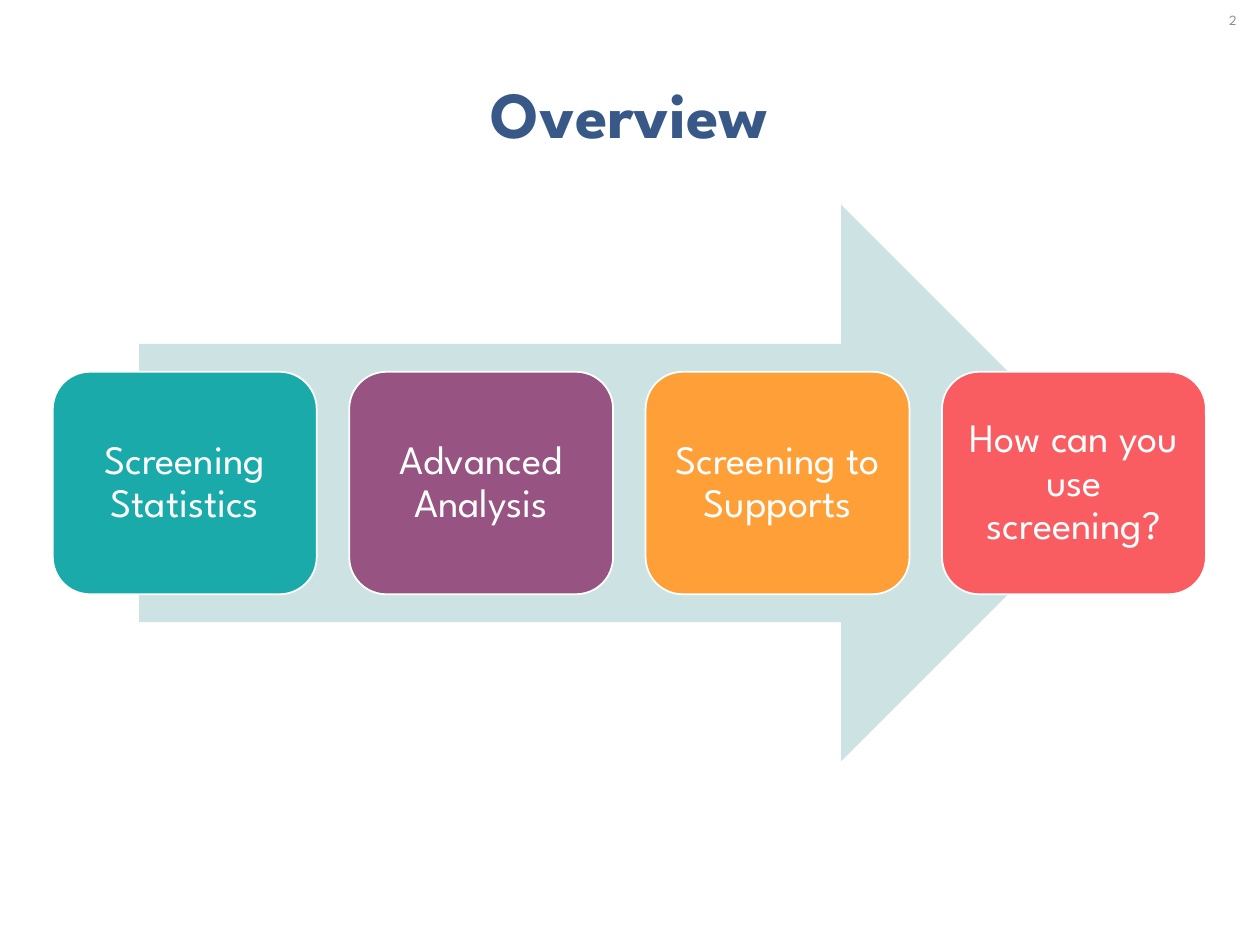
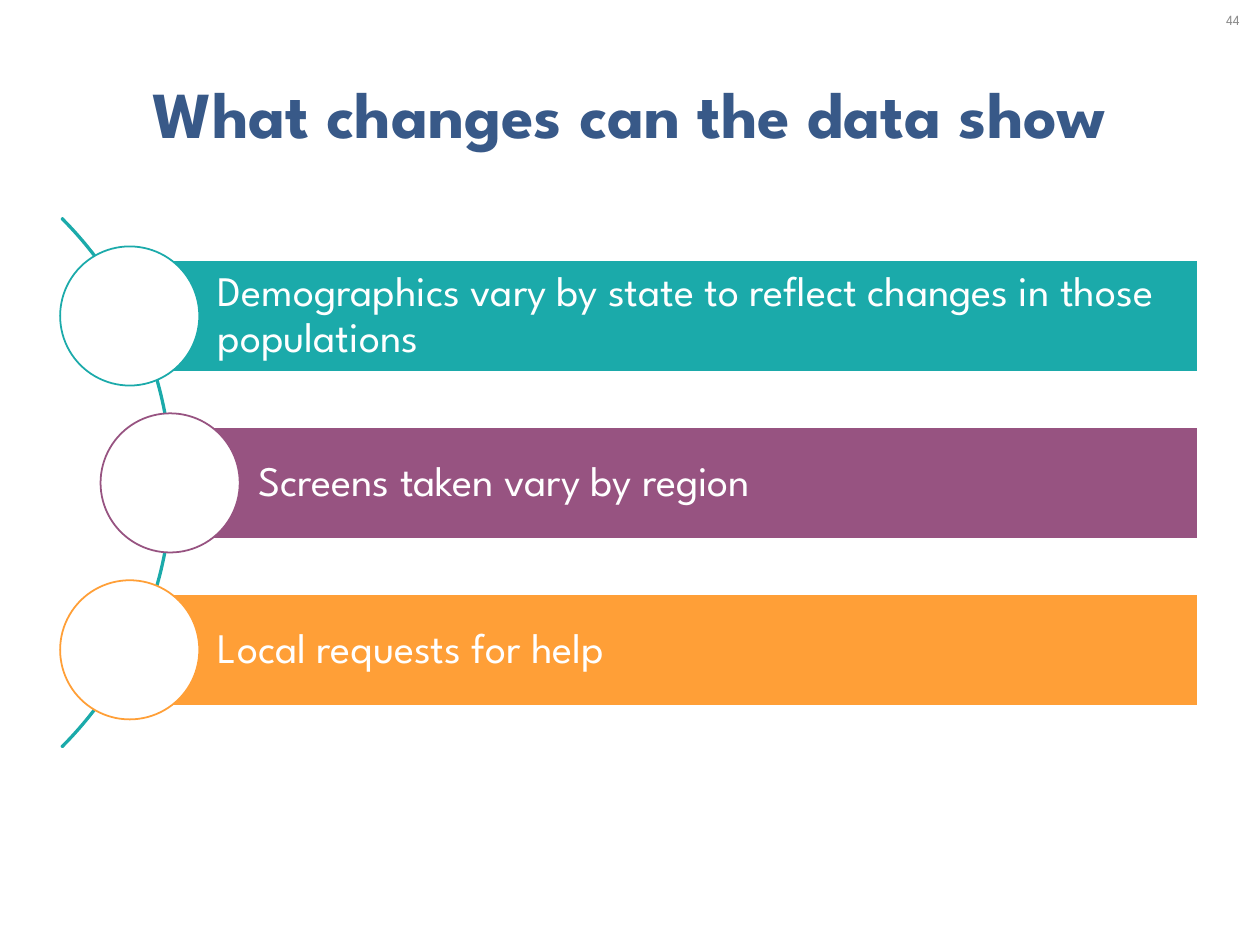
from dataclasses import dataclass

from pptx import Presentation
from pptx.dml.color import RGBColor
from pptx.enum.shapes import MSO_SHAPE as Shape
from pptx.enum.text import MSO_ANCHOR as Anchor, MSO_AUTO_SIZE as Fit, PP_ALIGN as Align
from pptx.util import Cm, Pt


@dataclass(frozen=True)
class Theme:
    font: str = "League Spartan"
    white: str = "FFFFFF"
    navy: str = "385988"
    grey: str = "8C8C8C"
    pale: str = "CDE2E2"
    hues: tuple = ("1BAAAA", "975381", "FF9F37", "F95D62")
    title: int = 75
    card: int = 46
    bar: int = 48
    page: int = 16
    line: int = 2


THEME = Theme()
TITLE_ONLY = 5
WIDTH, HEIGHT = 50.8, 38.1


def write(frame, text, size, color, align=Align.CENTER, bold=False):
    frame.text = text
    frame.word_wrap = True
    frame.auto_size = Fit.NONE
    frame.vertical_anchor = Anchor.MIDDLE
    para = frame.paragraphs[0]
    para.alignment = align
    font = para.runs[0].font
    font.name, font.size, font.bold = THEME.font, Pt(size), bold
    font.color.rgb = RGBColor.from_string(color)
    return para


def label(shape, text, size, align, left, pad):
    """Put white text inside a shape, with its own left inset."""
    frame = shape.text_frame
    para = write(frame, text, size, THEME.white, align)
    para.line_spacing = 0.9
    frame.margin_left = Cm(left)
    frame.margin_top = frame.margin_right = frame.margin_bottom = Cm(pad)


def draw(slide, kind, box, fill=None, line=None):
    shape = slide.shapes.add_shape(kind, *map(Cm, box))
    shape.shadow.inherit = False
    if fill:
        shape.fill.solid()
        shape.fill.fore_color.rgb = RGBColor.from_string(fill)
    else:
        shape.fill.background()
    if line:
        shape.line.color.rgb = RGBColor.from_string(line)
        shape.line.width = Pt(THEME.line)
    else:
        shape.line.fill.background()
    return shape


def add_slide(deck, title, page):
    """Add a slide with the shared title and page number."""
    slide = deck.slides.add_slide(deck.slide_layouts[TITLE_ONLY])
    head = slide.shapes.title
    head.left, head.top, head.width, head.height = map(Cm, (2.11, 2.67, 46.51, 3.68))
    write(head.text_frame, title, THEME.title, THEME.navy, bold=True)
    wide = 2.18
    box = slide.shapes.add_textbox(Cm(WIDTH - wide), 0, Cm(wide), Cm(1.6))
    write(box.text_frame, str(page), THEME.page, THEME.grey)
    return slide


def add_cards(slide, texts):
    """Lay a row of cards over a wide arrow."""
    left, top, wide, high, step = 2.13, 14.99, 10.64, 8.97, 11.95
    draw(slide, Shape.RIGHT_ARROW, (5.61, 8.26, 39.52, 22.43), THEME.pale)
    for i, (text, hue) in enumerate(zip(texts, THEME.hues)):
        box = (left + i * step, top, wide, high)
        card = draw(slide, Shape.ROUNDED_RECTANGLE, box, hue, THEME.white)
        label(card, text, THEME.card, Align.CENTER, 0.48, 0.48)


def add_bars(slide, texts):
    """Stack bars that start at circles strung along an arc."""
    arc = draw(slide, Shape.BLOCK_ARC, (-23.24, 4.37, 30.18, 30.18), line=THEME.hues[0])
    for i, value in enumerate((189, 27, 0.002)):  # 315 to 45 degrees, hairline thick
        arc.adjustments[i] = value

    top, high, step, right, size = 10.49, 4.5, 6.73, 48.31, 5.61
    starts = (5.23, 6.86, 5.23)
    for i, (text, hue, left) in enumerate(zip(texts, THEME.hues, starts)):
        y = top + i * step
        bar = draw(slide, Shape.RECTANGLE, (left, y, right - left, high), hue, THEME.white)
        label(bar, text, THEME.bar, Align.LEFT, 3.56, 0.33)
        dot = (left - size / 2, y + (high - size) / 2, size, size)
        draw(slide, Shape.OVAL, dot, THEME.white, hue)


def main():
    deck = Presentation()
    deck.slide_width, deck.slide_height = Cm(WIDTH), Cm(HEIGHT)
    add_cards(add_slide(deck, "Overview", 2), (
        "Screening Statistics",
        "Advanced Analysis",
        "Screening to Supports",
        "How can you use screening?",
    ))
    add_bars(add_slide(deck, "What changes can the data show", 44), (
        "Demographics vary by state to reflect changes in those populations",
        "Screens taken vary by region",
        "Local requests for help",
    ))
    deck.save("out.pptx")


if __name__ == "__main__":
    main()
